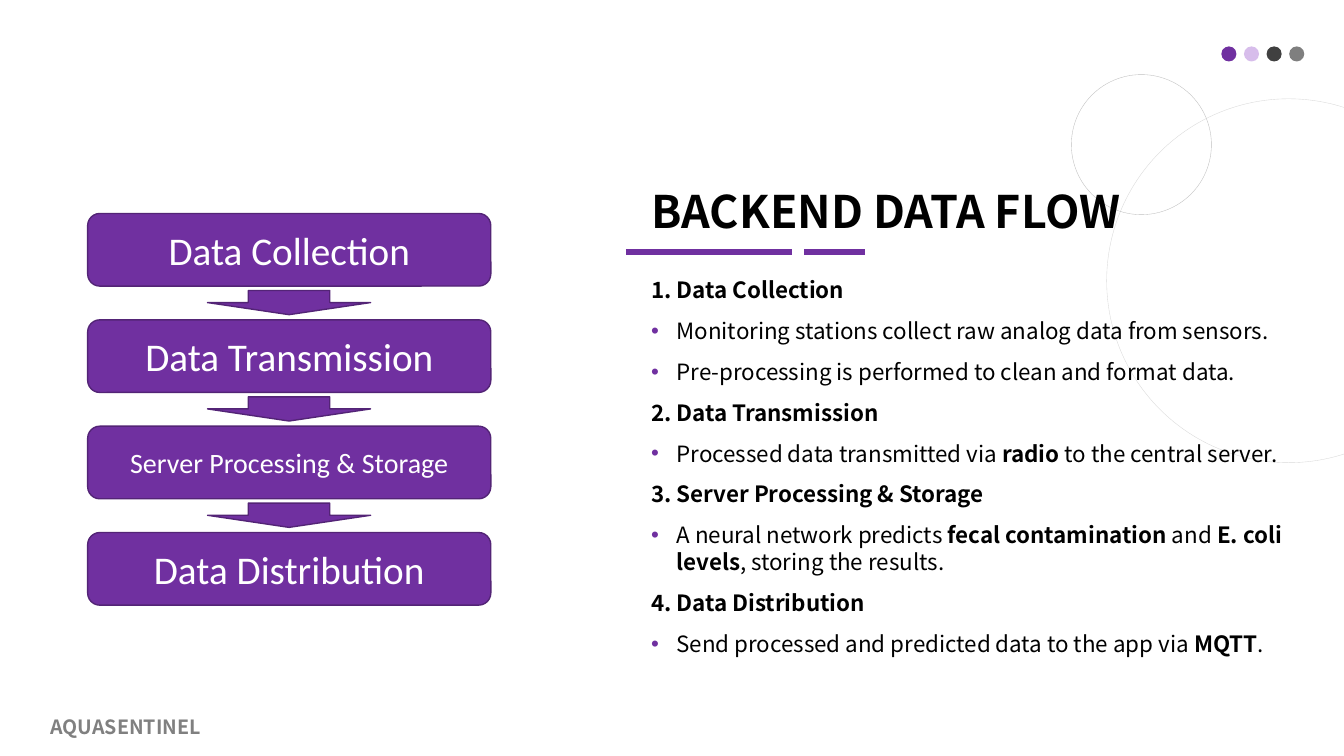
from dataclasses import dataclass

from lxml import etree
from pptx import Presentation
from pptx.dml.color import RGBColor
from pptx.enum.shapes import MSO_CONNECTOR, MSO_SHAPE
from pptx.enum.text import MSO_ANCHOR, MSO_AUTO_SIZE, PP_ALIGN
from pptx.oxml.ns import qn
from pptx.util import Cm, Pt

OVAL, ROUND, ARROW = MSO_SHAPE.OVAL, MSO_SHAPE.ROUNDED_RECTANGLE, MSO_SHAPE.DOWN_ARROW
STRAIGHT = MSO_CONNECTOR.STRAIGHT
TOP, MIDDLE, BOTTOM = MSO_ANCHOR.TOP, MSO_ANCHOR.MIDDLE, MSO_ANCHOR.BOTTOM
LEFT, CENTER = PP_ALIGN.LEFT, PP_ALIGN.CENTER
FIXED = MSO_AUTO_SIZE.NONE


@dataclass(frozen=True)
class Theme:
    font: str = "Noto Sans CJK SC"
    label: str = "Calibri"
    main: str = "7030A0"
    edge: str = "532476"
    lilac: str = "C7A2E3"
    dark: str = "404040"
    mid: str = "7F7F7F"
    ring: str = "D9D9D9"
    rim: str = "BFBFBF"
    foot: str = "808080"
    ink: str = "000000"
    paper: str = "FFFFFF"
    title_size: int = 32
    body_size: int = 16
    foot_size: int = 14
    step_size: int = 28
    small_size: int = 20


STEPS = ["Data Collection", "Data Transmission",
         "Server Processing & Storage", "Data Distribution"]
# Each point is a list of runs; every second run is bold.
POINTS = [
    [["Monitoring stations collect raw analog data from sensors."],
     ["Pre-processing is performed to clean and format data."]],
    [["Processed data transmitted via ", "radio", " to the central server."]],
    [["A neural network predicts ", "fecal contamination", " and ",
      "E. coli levels", ", storing the results."]],
    [["Send processed and predicted data to the app via ", "MQTT", "."]],
]


class Page:
    def __init__(self, slide, theme):
        self.slide, self.theme = slide, theme

    def style(self, para, size, color, bold=False, font=None):
        for run in para.runs:
            run.font.size, run.font.bold = Pt(size), bold
            run.font.name = font or self.theme.font
            run.font.color.rgb = RGBColor.from_string(color)

    def shape(self, kind, x, y, w, h, fill=None, line=None, width=1):
        item = self.slide.shapes.add_shape(kind, Cm(x), Cm(y), Cm(w), Cm(h))
        item.shadow.inherit = False
        if fill:
            item.fill.solid()
            item.fill.fore_color.rgb = RGBColor.from_string(fill)
        else:
            item.fill.background()
        if line:
            item.line.color.rgb = RGBColor.from_string(line)
            item.line.width = Pt(width)
        else:
            item.line.fill.background()
        return item

    def fade(self, item, percent):
        """Set the opacity of a solid fill."""
        color = item.element.spPr.find(qn("a:solidFill"))[0]
        etree.SubElement(color, qn("a:alpha")).set("val", str(percent * 1000))

    def rule(self, x, end, y):
        item = self.slide.shapes.add_connector(STRAIGHT, Cm(x), Cm(y), Cm(end), Cm(y))
        item.line.color.rgb = RGBColor.from_string(self.theme.main)
        item.line.width = Pt(4.5)
        etree.SubElement(item.element.spPr, qn("a:effectLst"))

    def step(self, text, x, y, w, h, size):
        item = self.shape(ROUND, x, y, w, h, self.theme.main, self.theme.edge)
        frame = item.text_frame
        frame.text, frame.vertical_anchor = text, MIDDLE
        frame.paragraphs[0].alignment = CENTER
        self.style(frame.paragraphs[0], size, self.theme.paper, font=self.theme.label)

    def place(self, item, x, y, w, h, anchor):
        """Move a placeholder to the front and into its area."""
        item.element.getparent().append(item.element)
        item.left, item.top, item.width, item.height = Cm(x), Cm(y), Cm(w), Cm(h)
        frame = item.text_frame
        frame.margin_left = frame.margin_right = Cm(0)
        frame.margin_top = frame.margin_bottom = Cm(0)
        frame.word_wrap, frame.auto_size = True, FIXED
        frame.vertical_anchor = anchor
        return frame

    def title(self, text, *area):
        frame = self.place(self.slide.shapes.title, *area, BOTTOM)
        frame.text = text
        para = frame.paragraphs[0]
        para.alignment, para.line_spacing = LEFT, 0.9
        self.style(para, self.theme.title_size, self.theme.ink, True)

    def mark(self, para, bullet):
        props = para._p.get_or_add_pPr()
        indent = Cm(0.64) if bullet else 0
        props.set("marL", str(indent))
        props.set("indent", str(-indent))
        if bullet:
            color = etree.SubElement(props, qn("a:buClr"))
            etree.SubElement(color, qn("a:srgbClr")).set("val", self.theme.main)
            etree.SubElement(props, qn("a:buFont")).set("typeface", "Arial")
            etree.SubElement(props, qn("a:buChar")).set("char", "•")
        else:
            etree.SubElement(props, qn("a:buNone"))

    def entry(self, frame, parts, bullet):
        first = not frame.text
        para = frame.paragraphs[0] if first else frame.add_paragraph()
        self.mark(para, bullet)
        para.alignment, para.line_spacing = LEFT, 1.0
        para.space_before = Pt(0 if first else 10)
        for part in parts:
            para.add_run().text = part
        self.style(para, self.theme.body_size, self.theme.ink, not bullet)
        for run in para.runs[1::2]:
            run.font.bold = True

    def body(self, heads, groups, *area):
        frame = self.place(self.slide.placeholders[1], *area, TOP)
        for num, (head, group) in enumerate(zip(heads, groups), 1):
            self.entry(frame, [f"{num}. {head}"], False)
            for parts in group:
                self.entry(frame, parts, True)

    def note(self, text, x, y, w, h):
        frame = self.slide.shapes.add_textbox(Cm(x), Cm(y), Cm(w), Cm(h)).text_frame
        frame.word_wrap, frame.text = True, text
        frame.paragraphs[0].line_spacing = 0.9
        self.style(frame.paragraphs[0], self.theme.foot_size, self.theme.foot, True)


def main():
    deck = Presentation()
    deck.slide_width, deck.slide_height = Cm(33.87), Cm(19.05)
    theme = Theme()
    page = Page(deck.slides.add_slide(deck.slide_layouts[1]), theme)

    dots = [page.shape(OVAL, 30.78 + 0.57 * i, 1.17, 0.38, 0.38, color)
            for i, color in enumerate([theme.main, theme.lilac, theme.dark, theme.mid])]
    page.fade(dots[1], 70)
    page.shape(OVAL, 27.89, 2.49, 9.17, 9.17, line=theme.ring, width=0.25)
    page.shape(OVAL, 27, 1.88, 3.53, 3.53, line=theme.rim, width=0.25)
    page.rule(15.77, 19.96, 6.35)
    page.rule(20.27, 21.79, 6.35)

    page.title("BACKEND DATA FLOW", 16.41, 2.9, 15.14, 3.1)
    page.body(STEPS, POINTS, 16.41, 6.96, 16.54, 9.6)
    page.note("AQUASENTINEL", 1.02, 17.96, 6.27, 0.69)

    for i, text in enumerate(STEPS):
        top = 5.38 + 2.68 * i
        size = theme.small_size if len(text) > 20 else theme.step_size
        page.step(text, 2.21, top, 10.16, 1.83, size)
        if i < len(STEPS) - 1:
            page.shape(ARROW, 5.23, top + 1.94, 4.11, 0.61, theme.main, theme.edge)
    deck.save("out.pptx")


if __name__ == "__main__":
    main()
